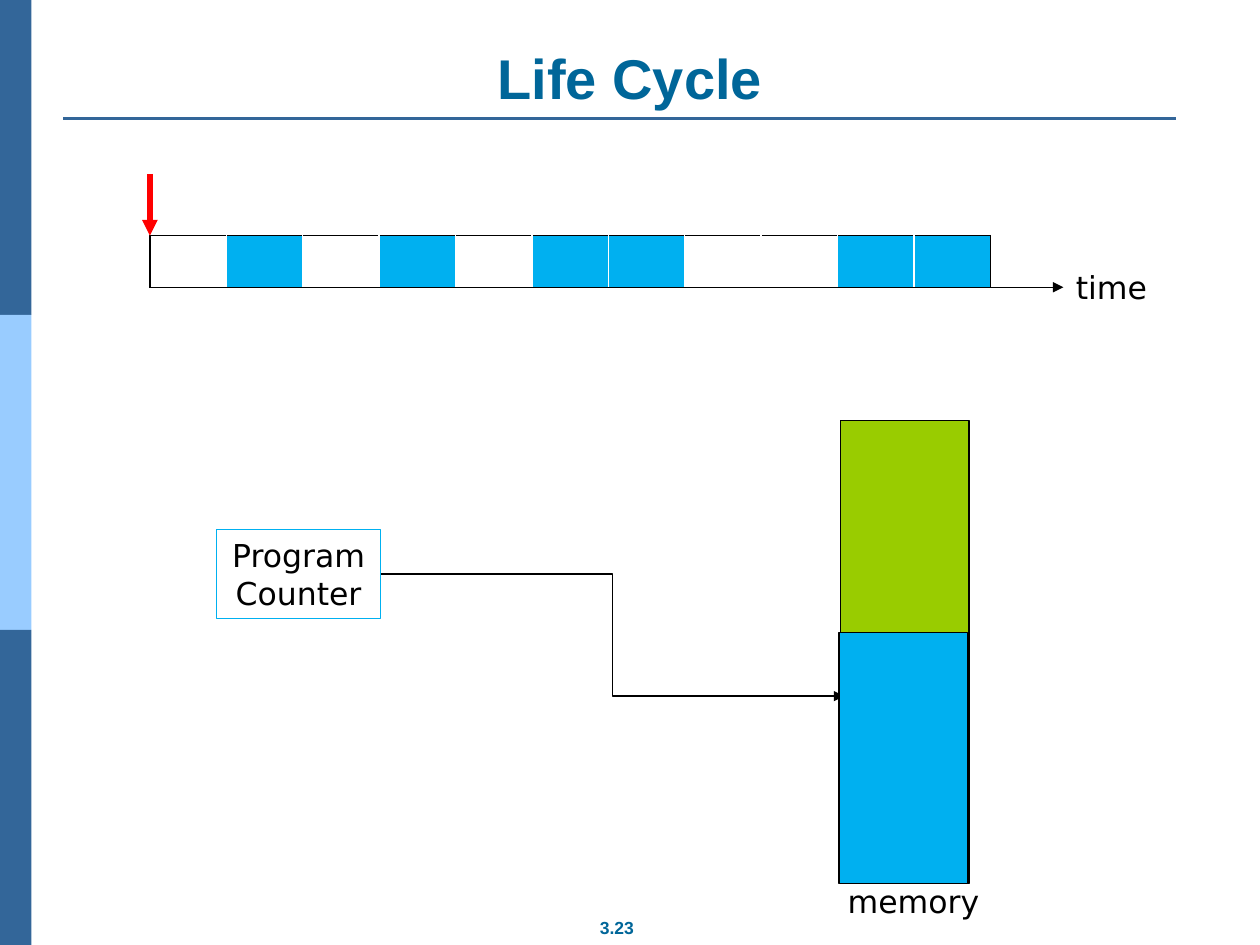
from lxml import etree
from pptx import Presentation
from pptx.dml.color import RGBColor
from pptx.enum.shapes import MSO_CONNECTOR, MSO_SHAPE
from pptx.enum.text import MSO_ANCHOR, PP_ALIGN
from pptx.oxml.ns import qn
from pptx.util import Inches, Pt

NAVY = RGBColor(0x33, 0x66, 0x99)
PALE_BLUE = RGBColor(0x99, 0xCC, 0xFF)
TEAL = RGBColor(0x00, 0x66, 0x99)
SKY = RGBColor(0x00, 0xB0, 0xF0)
GREEN = RGBColor(0x99, 0xCC, 0x00)
RED = RGBColor(0xFF, 0x00, 0x00)
BLACK = RGBColor(0x00, 0x00, 0x00)
WHITE = RGBColor(0xFF, 0xFF, 0xFF)

STRAIGHT, ELBOW = MSO_CONNECTOR.STRAIGHT, MSO_CONNECTOR.ELBOW
RECTANGLE = MSO_SHAPE.RECTANGLE
LEFT, CENTER = PP_ALIGN.LEFT, PP_ALIGN.CENTER
TOP, MIDDLE, BOTTOM = MSO_ANCHOR.TOP, MSO_ANCHOR.MIDDLE, MSO_ANCHOR.BOTTOM

TIME_SLOTS = [None, SKY, WHITE, SKY, WHITE, SKY, SKY, WHITE, WHITE, SKY, SKY]


def write(shape, text, size=18, font="DejaVu Sans", color=BLACK, bold=False,
          align=LEFT, anchor=TOP, wrap=True):
    frame = shape.text_frame
    frame.word_wrap = wrap
    frame.vertical_anchor = anchor
    paragraph = frame.paragraphs[0]
    paragraph.alignment = align
    run = paragraph.add_run()
    run.text = text
    run.font.size = Pt(size)
    run.font.name = font
    run.font.bold = bold
    run.font.color.rgb = color


def add_text(slide, box, text, **style):
    write(slide.shapes.add_textbox(*map(Inches, box)), text, **style)


def add_rectangle(slide, box, fill=None, line=None):
    shape = slide.shapes.add_shape(RECTANGLE, *map(Inches, box))
    shape.shadow.inherit = False
    if fill is None:
        shape.fill.background()
    else:
        shape.fill.solid()
        shape.fill.fore_color.rgb = fill
    if line is None:
        shape.line.fill.background()
    else:
        shape.line.color.rgb = line
        shape.line.width = Pt(0.75)
    return shape


def add_line(slide, start, end, color=BLACK, width=0.75, arrow=True, kind=STRAIGHT):
    connector = slide.shapes.add_connector(kind, *map(Inches, (*start, *end)))
    connector.line.color.rgb = color
    connector.line.width = Pt(width)
    if arrow:
        etree.SubElement(connector.line._get_or_add_ln(), qn("a:tailEnd"), type="triangle")
    etree.SubElement(connector._element.spPr, qn("a:effectLst"))


def set_borders(cell, **colors):
    properties = cell._tc.get_or_add_tcPr()
    for side in "LRTB":
        border = etree.SubElement(properties, qn(f"a:ln{side}"), w=str(Pt(1)))
        fill = etree.SubElement(border, qn("a:solidFill"))
        etree.SubElement(fill, qn("a:srgbClr"), val=str(colors[side]))


def add_sidebar(slide, left, top, width, height):
    band = height / 3
    for index, color in enumerate((NAVY, PALE_BLUE, NAVY)):
        add_rectangle(slide, (left, top + index * band, width, band), color)


def add_heading(slide, left, top, width, height):
    rule = top + height + 0.01
    add_line(slide, (left, rule), (left + width - 0.17, rule), NAVY, 1.5, arrow=False)
    add_text(slide, (left, top, width, height), "Life Cycle", size=32, font="Arial",
             color=TEAL, bold=True, align=CENTER, anchor=BOTTOM)


def add_timeline(slide, left, top, width, height):
    count = len(TIME_SLOTS)
    frame = slide.shapes.add_table(1, count, *map(Inches, (left, top, width, height)))
    table = frame.table
    table.first_row = table.horz_banding = False
    for index, color in enumerate(TIME_SLOTS):
        table.columns[index].width = Inches(width / count)
        cell = table.cell(0, index)
        cell.margin_top = cell.margin_bottom = 0
        set_borders(cell, L=BLACK if index == 0 else WHITE,
                    R=BLACK if index == count - 1 else WHITE, T=BLACK, B=BLACK)
        if color is None:
            cell.fill.background()
        else:
            cell.fill.solid()
            cell.fill.fore_color.rgb = color
    axis, end = top + height, left + width + 0.58
    add_line(slide, (left, axis), (end, axis))
    add_text(slide, (end, axis - 0.2, 2.24, 0.4), "time")
    add_line(slide, (left, top - 0.49), (left, top), RED, 3)


def add_counter(slide, left, top, width, height):
    start = (left + width, top + height / 2)
    add_line(slide, start, (start[0] + 3.68, start[1] + 0.97), kind=ELBOW)
    box = add_rectangle(slide, (left, top, width, height), line=SKY)
    write(box, "Program Counter", align=CENTER, anchor=MIDDLE)


def add_memory(slide, left, top, width, height):
    used = 1.99
    add_rectangle(slide, (left, top, width, height), GREEN, BLACK)
    add_text(slide, (left - 0.04, top + height - 0.06, 2.16, 0.4), "memory")
    add_rectangle(slide, (left - 0.01, top + height - used, width, used), SKY, BLACK)


def main():
    presentation = Presentation()
    presentation.slide_width = Inches(10)
    presentation.slide_height = Inches(7.5)
    slide = presentation.slides.add_slide(presentation.slide_layouts[6])
    add_sidebar(slide, 0, 0, 0.25, 7.5)
    add_heading(slide, 0.5, 0.3, 9, 0.63)
    add_text(slide, (4.65, 7.23, 0.49, 0.27), "3.23", size=10, font="Arial",
             color=TEAL, bold=True, align=CENTER, wrap=False)
    add_timeline(slide, 1.19, 1.87, 6.67, 0.41)
    add_counter(slide, 1.72, 4.2, 1.3, 0.71)
    add_memory(slide, 6.67, 3.34, 1.02, 3.67)
    presentation.save("out.pptx")


if __name__ == "__main__":
    main()
